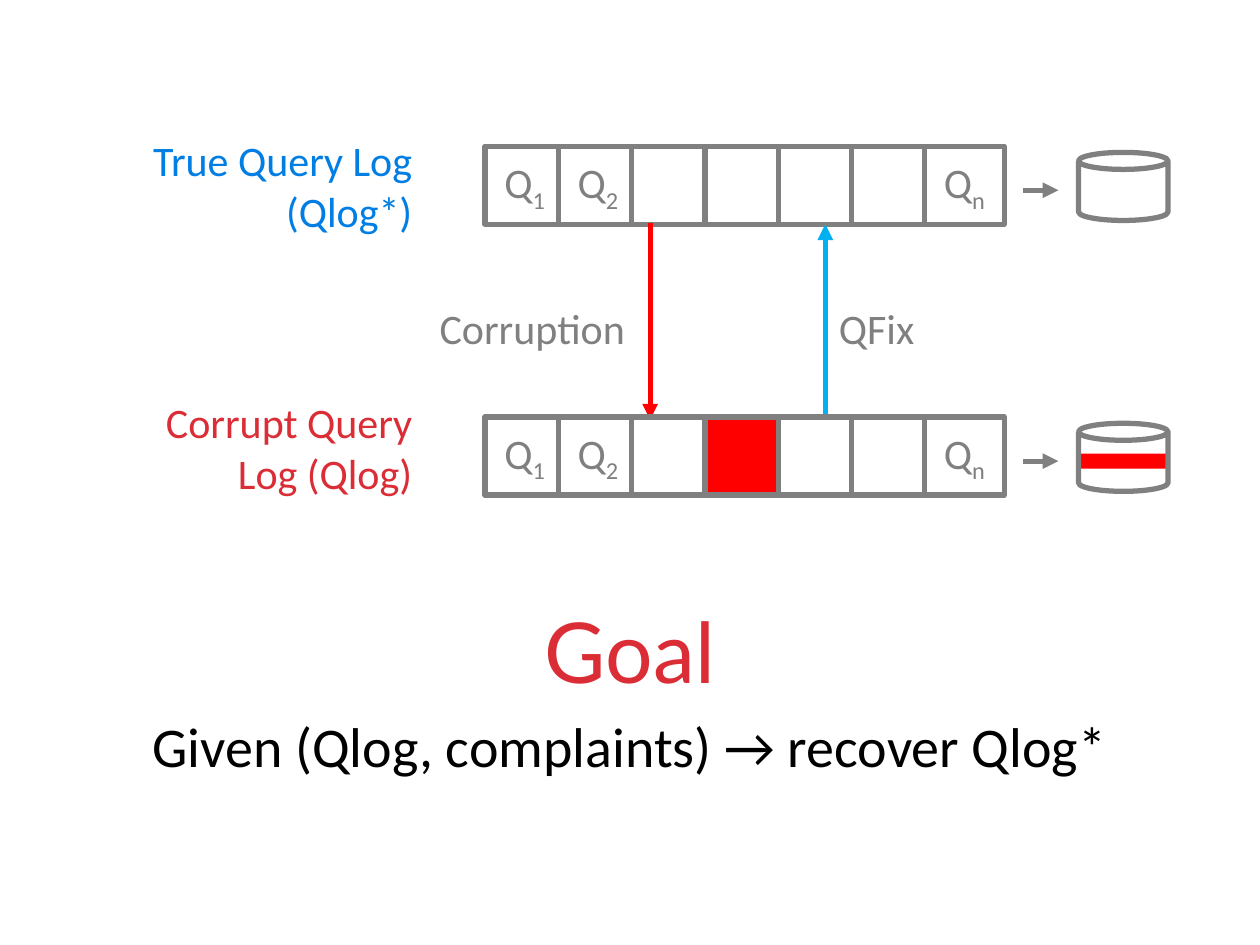
from dataclasses import dataclass

from lxml import etree
from pptx import Presentation
from pptx.dml.color import RGBColor
from pptx.enum import shapes, text
from pptx.oxml import ns
from pptx.util import Inches, Pt


@dataclass(frozen=True)
class Theme:
    gray: str = "808080"
    white: str = "FFFFFF"
    black: str = "000000"
    red: str = "FF0000"
    crimson: str = "DB2D35"
    blue: str = "007EE4"
    sky: str = "00B0F0"
    font: str = "Calibri"
    goal_font: str = "Lato"
    label_size: int = 24
    body_size: int = 32
    goal_size: int = 48
    line_width: int = 3


THEME = Theme()
TRUE_TOP = 1.16
CORRUPT_TOP = 3.31
CELL_LEFT = 3.85
CELL_PITCH = 3.49 / 6
CELL_WIDTH = 0.63
CELL_HEIGHT = 0.62
SUBSCRIPTS = ["1", "2", "", "", "", "", "n"]
CORRUPT_CELL = 3


def inches(*lengths):
    return [Inches(length) for length in lengths]


def style_span(span, color, size=THEME.label_size, font=THEME.font):
    span.font.name = font
    span.font.size = Pt(size)
    span.font.color.rgb = RGBColor.from_string(color)


def add_label(slide, words, area, color, align=text.PP_ALIGN.LEFT, wrap=False):
    box = slide.shapes.add_textbox(*inches(*area))
    frame = box.text_frame
    frame.text = words
    frame.word_wrap = wrap
    para = frame.paragraphs[0]
    para.alignment = align
    style_span(para.runs[0], color)


def add_block(slide, preset, area, fill=None, line=None):
    block = slide.shapes.add_shape(preset, *inches(*area))
    block.shadow.inherit = False
    if fill:
        block.fill.solid()
        block.fill.fore_color.rgb = RGBColor.from_string(fill)
    else:
        block.fill.background()
    if line:
        block.line.color.rgb = RGBColor.from_string(line)
        block.line.width = Pt(THEME.line_width)
    else:
        block.line.fill.background()
    return block


def add_arrow(slide, start, end, color):
    arrow = slide.shapes.add_connector(
        shapes.MSO_CONNECTOR.STRAIGHT, *inches(*start, *end))
    arrow.line.color.rgb = RGBColor.from_string(color)
    arrow.line.width = Pt(THEME.line_width)
    etree.SubElement(arrow.line._get_or_add_ln(), ns.qn("a:tailEnd"), type="triangle")
    etree.SubElement(arrow._element.spPr, ns.qn("a:effectLst"))


def add_query_cell(slide, left, top, subscript, fill):
    cell = add_block(slide, shapes.MSO_SHAPE.RECTANGLE,
                     (left, top, CELL_WIDTH, CELL_HEIGHT), fill, THEME.gray)
    if not subscript:
        return
    frame = cell.text_frame
    frame.margin_left = frame.margin_right = Inches(0.07)
    frame.margin_top = frame.margin_bottom = Inches(0.04)
    frame.vertical_anchor = text.MSO_ANCHOR.MIDDLE
    para = frame.paragraphs[0]
    para.alignment = text.PP_ALIGN.CENTER
    for letters in ("Q", subscript):
        span = para.add_run()
        span.text = letters
        style_span(span, THEME.gray)
    span.font._element.set("baseline", "-25000")


def add_query_log(slide, top, corrupt_cell=None):
    for index, subscript in enumerate(SUBSCRIPTS):
        fill = THEME.red if index == corrupt_cell else THEME.white
        add_query_cell(slide, CELL_LEFT + index * CELL_PITCH, top, subscript, fill)


def add_database(slide, top, corrupt=False):
    add_arrow(slide, (8.12, top + 0.35), (8.4, top + 0.35), THEME.gray)
    if corrupt:
        add_block(slide, shapes.MSO_SHAPE.RECTANGLE,
                  (8.56, top + 0.29, 0.71, 0.12), THEME.red)
    add_block(slide, shapes.MSO_SHAPE.CAN, (8.56, top + 0.05, 0.71, 0.54),
              line=THEME.gray)


def fill_goal(slide):
    body = slide.placeholders[1]
    body.left, body.top, body.width, body.height = inches(0.5, 4.71, 9, 1.99)
    frame = body.text_frame
    frame.text = "Goal\nGiven (Qlog, complaints) → recover Qlog*"
    styles = [(THEME.crimson, THEME.goal_size, THEME.goal_font),
              (THEME.black, THEME.body_size, THEME.font)]
    for para, style in zip(frame.paragraphs, styles):
        para.alignment = text.PP_ALIGN.CENTER
        properties = para._p.get_or_add_pPr()
        properties.set("marL", "0")
        properties.set("indent", "0")
        etree.SubElement(properties, ns.qn("a:buNone"))
        style_span(para.runs[0], *style)


def main():
    deck = Presentation()
    deck.slide_width, deck.slide_height = inches(10, 7.5)
    slide = deck.slides.add_slide(deck.slide_layouts.get_by_name("Title and Content"))
    title = slide.shapes.title._element
    title.getparent().remove(title)

    add_database(slide, CORRUPT_TOP, corrupt=True)
    add_database(slide, TRUE_TOP)
    add_label(slide, "True Query Log (Qlog*)", (0.72, 1.02, 2.65, 0.91),
              THEME.blue, text.PP_ALIGN.RIGHT, wrap=True)
    add_query_log(slide, TRUE_TOP)
    add_label(slide, "Corruption", (3.39, 2.35, 1.77, 0.5), THEME.gray)
    add_arrow(slide, (5.16, 1.77), (5.16, 3.33), THEME.red)
    add_label(slide, "QFix", (6.56, 2.35, 0.88, 0.5), THEME.gray)
    add_arrow(slide, (6.55, CORRUPT_TOP), (6.55, 1.78), THEME.sky)
    add_query_log(slide, CORRUPT_TOP, CORRUPT_CELL)
    add_label(slide, "Corrupt Query Log (Qlog)", (0.72, 3.1, 2.65, 0.91),
              THEME.crimson, text.PP_ALIGN.RIGHT, wrap=True)
    fill_goal(slide)
    deck.save("out.pptx")


if __name__ == "__main__":
    main()
